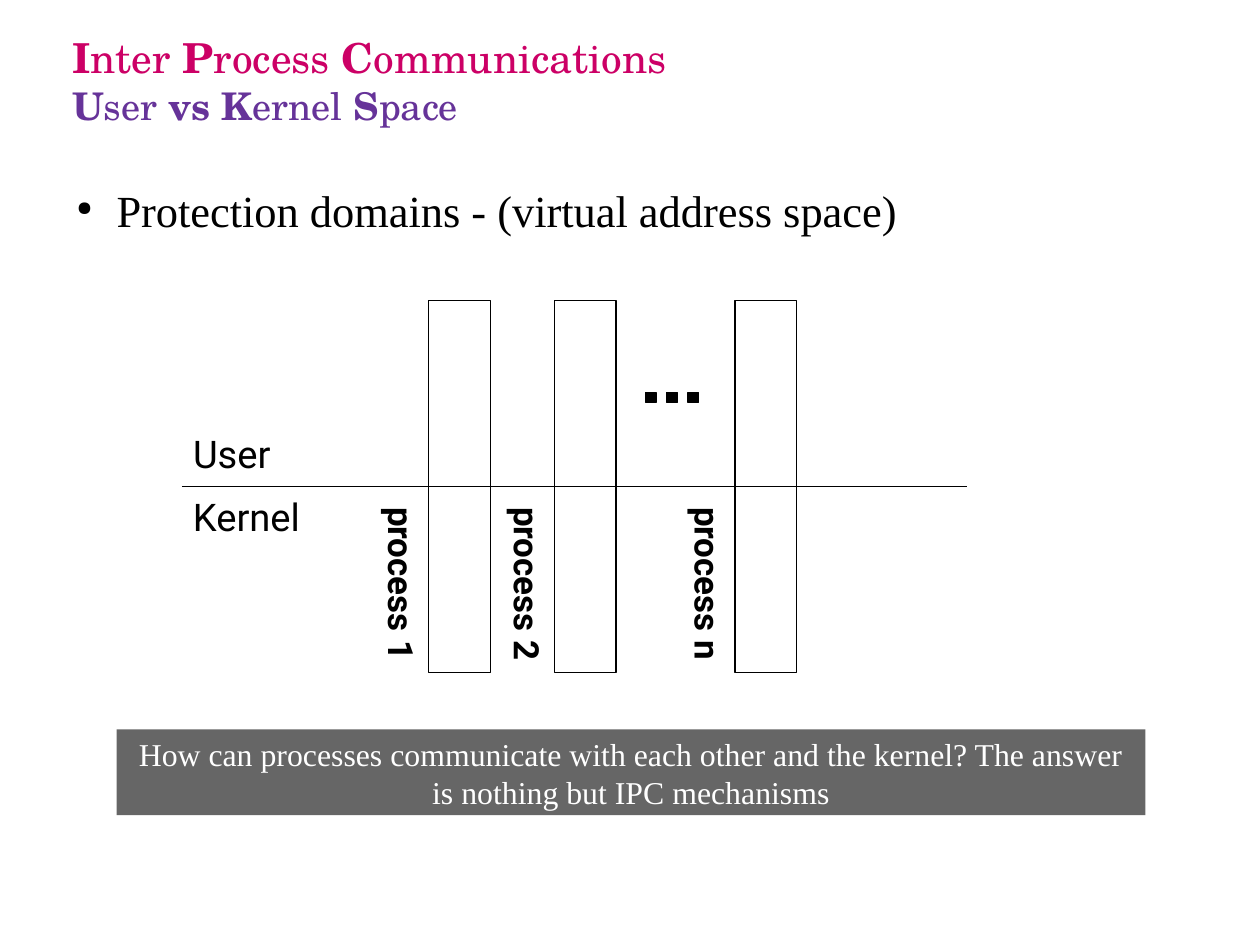
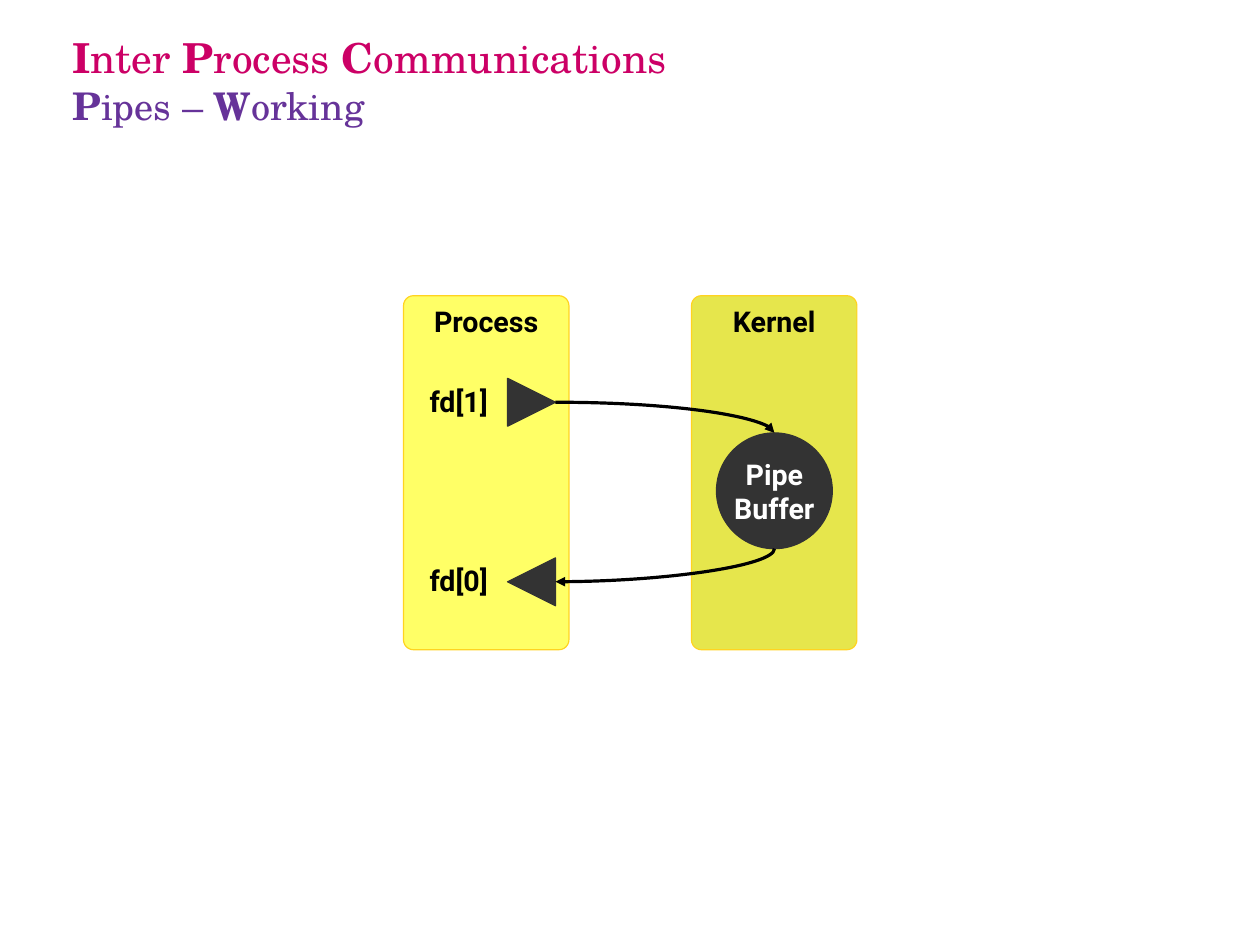
from dataclasses import dataclass

from lxml.etree import SubElement
from pptx import Presentation
from pptx.dml.color import RGBColor as RGB
from pptx.enum.shapes import MSO_CONNECTOR as Connector, MSO_SHAPE as Shape
from pptx.enum.text import MSO_ANCHOR as Anchor, PP_ALIGN as Align
from pptx.oxml.ns import qn
from pptx.util import Pt


@dataclass(frozen=True)
class Theme:
    pink: RGB = RGB(0xCC, 0x00, 0x66)
    purple: RGB = RGB(0x66, 0x33, 0x99)
    black: RGB = RGB(0x00, 0x00, 0x00)
    white: RGB = RGB(0xFF, 0xFF, 0xFF)
    gray: RGB = RGB(0x66, 0x66, 0x66)
    dark: RGB = RGB(0x33, 0x33, 0x33)
    yellow: RGB = RGB(0xFF, 0xFF, 0x66)
    olive: RGB = RGB(0xE6, 0xE6, 0x4C)
    gold: RGB = RGB(0xFF, 0xD3, 0x20)
    title_font: str = "TeX Gyre Schola"
    body_font: str = "Times New Roman"
    label_font: str = "Roboto"
    title_size: int = 26
    subtitle_size: int = 24
    body_size: int = 28
    side_size: int = 24
    process_size: int = 22
    note_size: int = 20
    pipe_size: int = 18


theme = Theme()


def add_shape(page, kind, box, fill=None, line=None, width=0.75):
    """Add a flat preset shape."""
    shape = page.shapes.add_shape(kind, *map(Pt, box))
    shape.shadow.inherit = False
    for part, color in ((shape.fill, fill), (shape.line.fill, line)):
        if color is None:
            part.background()
        else:
            part.solid()
            part.fore_color.rgb = color
    if line is not None:
        shape.line.width = Pt(width)
    return shape


def write(shape, lines, size, color=theme.black, font=theme.label_font, bold=False,
          align=Align.LEFT, anchor=Anchor.TOP, wrap=False, inset=(7.2, 3.6)):
    """Write one paragraph per line; asterisks switch bold on and off."""
    frame = shape.text_frame
    across, down = map(Pt, inset)
    frame_format = {"margin_left": across, "margin_right": across, "margin_top": down,
                    "margin_bottom": down, "word_wrap": wrap, "vertical_anchor": anchor}
    for name, value in frame_format.items():
        setattr(frame, name, value)
    for number, line in enumerate(lines):
        para = frame.add_paragraph() if number else frame.paragraphs[0]
        para.alignment = align
        for index, text in enumerate(line.split("*")):
            if text:
                span = para.add_run()
                span.text = text
                font_format = {"name": font, "size": Pt(size), "bold": bold or index % 2 == 1}
                for name, value in font_format.items():
                    setattr(span.font, name, value)
                span.font.color.rgb = color
    return frame


deck = Presentation()
deck.slide_width, deck.slide_height = Pt(793.7), Pt(595.3)

# Shared title on both pages
subtitles = ("*U*ser *vs K*ernel *S*pace", "*P*ipes – *W*orking")
pages = []
for subtitle in subtitles:
    page = deck.slides.add_slide(deck.slide_layouts[6])
    title = page.shapes.add_textbox(Pt(45.4), Pt(0.7), Pt(709.2), Pt(99.4))
    frame = write(title, ["*I*nter *P*rocess *C*ommunications", subtitle], theme.title_size,
                  theme.pink, theme.title_font, anchor=Anchor.MIDDLE, wrap=True, inset=(0, 0))
    for span in frame.paragraphs[1].runs:
        span.font.size = Pt(theme.subtitle_size)
        span.font.color.rgb = theme.purple
    pages.append(page)
space_page, pipe_page = pages

# Bullet on protection domains
body = space_page.shapes.add_textbox(Pt(39.6), Pt(115.2), Pt(714.2), Pt(60))
frame = write(body, ["Protection domains - (virtual address space)"], theme.body_size,
              font=theme.body_font, wrap=True, inset=(0, 0))
para = frame.paragraphs[0]
properties = para._p.get_or_add_pPr()
properties.set("marL", str(Pt(33.8)))
properties.set("indent", str(Pt(-25.2)))
bullet_color = SubElement(properties, qn("a:buClr"))
SubElement(bullet_color, qn("a:srgbClr"), val=str(theme.black))
SubElement(properties, qn("a:buSzPct"), val="45000")
SubElement(properties, qn("a:buChar"), char="●")

# Process columns, each with a turned label against its left side
column_top, column_width, column_height = 189.4, 38.9, 234
label_width, label_height, label_middle = 132.5, 37.4, 378.7
for left, name in ((270, "process 1"), (349.2, "process 2"), (463, "process n")):
    add_shape(space_page, Shape.RECTANGLE, (left, column_top, column_width, column_height),
              line=theme.black)
    label = space_page.shapes.add_textbox(
        Pt(left - (label_height + label_width) / 2), Pt(label_middle - label_height / 2),
        Pt(label_width), Pt(label_height))
    label.rotation = 90
    write(label, [name], theme.process_size, bold=True)

# Ellipsis between the columns
for step in range(3):
    add_shape(space_page, Shape.RECTANGLE, (406.8 + 13.3 * step, 247, 6.5, 6.5),
              theme.black, theme.black)

# Border between user and kernel space
border_left, border_top = 114.5, column_top + column_height / 2
border = space_page.shapes.add_connector(
    Connector.STRAIGHT, Pt(border_left), Pt(border_top), Pt(609.1), Pt(border_top))
border.line.color.rgb = theme.black
border.line.width = Pt(0.75)
SubElement(border._element.spPr, qn("a:effectLst"))
for name, top, width in (("User", 267.8, 73.4), ("Kernel", 307.4, 100)):
    side = space_page.shapes.add_textbox(Pt(border_left), Pt(top), Pt(width), Pt(38.9))
    write(side, [name], theme.side_size)

# Closing question
note = add_shape(space_page, Shape.RECTANGLE, (73.5, 459.5, 648, 54), theme.gray)
write(note, ["How can processes communicate with each other and the kernel? "
             "The answer is nothing but IPC mechanisms"],
      theme.note_size, theme.white, theme.body_font, align=Align.CENTER, wrap=True)

# Process and kernel panels
for name, left, fill in (("Process", 254.2, theme.yellow), ("Kernel", 435.6, theme.olive)):
    panel = add_shape(pipe_page, Shape.ROUNDED_RECTANGLE, (left, 186.3, 104.2, 223),
                      fill, theme.gold, 0)
    panel.adjustments[0] = 0.06
    write(panel, [name], theme.pipe_size, bold=True, align=Align.CENTER)

# Pipe buffer
buffer_left, buffer_top, buffer_size = 451.3, 272.7, 73
pipe_buffer = add_shape(pipe_page, Shape.OVAL,
                        (buffer_left, buffer_top, buffer_size, buffer_size),
                        theme.dark, theme.dark, 0)
write(pipe_buffer, ["Pipe", "Buffer"], theme.pipe_size, theme.white, bold=True,
      align=Align.CENTER, anchor=Anchor.MIDDLE)

# File descriptors, each with its end of the pipe
end_left, end_size = 319.7, 30.2
for name, top, turn, buffer_edge, arrow_end in (
        ("fd[1]", 238.3, 90, buffer_top, "a:tailEnd"),
        ("fd[0]", 351.4, 270, buffer_top + buffer_size, "a:headEnd")):
    label = pipe_page.shapes.add_textbox(Pt(263.5), Pt(top), Pt(64.1), Pt(31.7))
    write(label, [name], theme.pipe_size, bold=True)
    pipe_end = add_shape(pipe_page, Shape.ISOSCELES_TRIANGLE, (end_left, top, end_size, end_size),
                         theme.dark, theme.dark, 0)
    pipe_end.rotation = turn
    curve = pipe_page.shapes.add_connector(
        Connector.CURVE, Pt(end_left + end_size), Pt(top + end_size / 2),
        Pt(buffer_left + buffer_size / 2), Pt(buffer_edge))
    curve.line.color.rgb = theme.black
    curve.line.width = Pt(0)
    properties = curve._element.spPr
    properties.find(qn("a:prstGeom")).set("prst", "curvedConnector2")
    SubElement(properties.find(qn("a:ln")), qn(arrow_end), type="triangle")
    SubElement(properties, qn("a:effectLst"))

deck.save("out.pptx")
